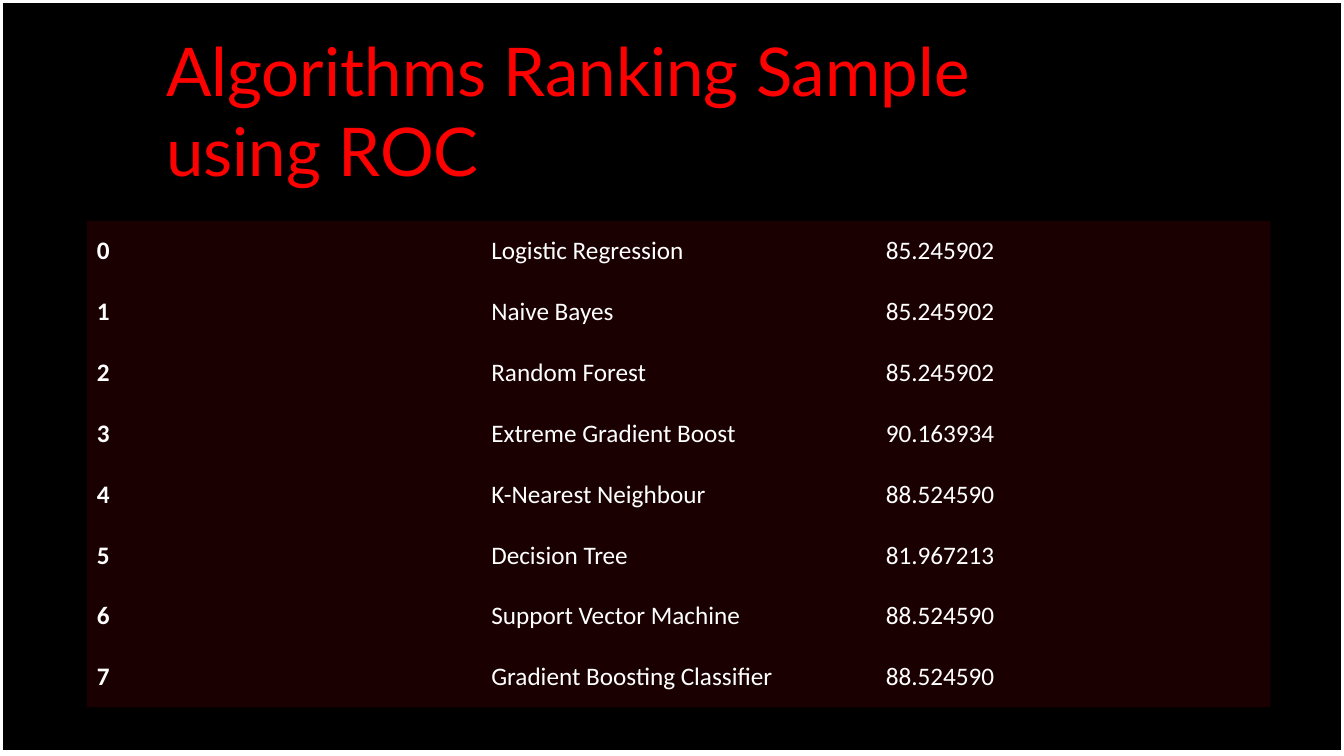
from lxml.etree import SubElement
from pptx import Presentation
from pptx.dml.color import RGBColor
from pptx.enum.shapes import MSO_SHAPE as Shape
from pptx.enum.text import MSO_ANCHOR as Anchor
from pptx.oxml.ns import qn
from pptx.util import Inches, Pt

TITLE = "Algorithms Ranking Sample using ROC"
RANKS = [
    ("Logistic Regression", "85.245902"),
    ("Naive Bayes", "85.245902"),
    ("Random Forest", "85.245902"),
    ("Extreme Gradient Boost", "90.163934"),
    ("K-Nearest Neighbour", "88.524590"),
    ("Decision Tree", "81.967213"),
    ("Support Vector Machine", "88.524590"),
    ("Gradient Boosting Classifier", "88.524590"),
]
COLORS = {"back": "000000", "red": "FF0000", "white": "FFFFFF"}
PLAIN = "{2D5ABB26-0587-4C30-8999-92F81FD0307C}"
TINT = 10


def color(name):
    return RGBColor.from_string(COLORS[name])


def style(para, face, size, name, bold=False):
    font = para.font
    font.name, font.size, font.bold = face, Pt(size), bold
    font.color.rgb = color(name)


def add_frame(slide):
    frame = slide.shapes.add_shape(
        Shape.RECTANGLE, 0, 0, Inches(13.33), Inches(7.47))
    frame.shadow.inherit = False
    frame.fill.background()
    frame.line.color.rgb = color("white")
    frame.line.width = Pt(4.5)


def fill_cell(cell, text, bold):
    cell.text = text
    cell.vertical_anchor = Anchor.MIDDLE
    style(cell.text_frame.paragraphs[0], "Calibri", 18, "white", bold)
    cell.fill.solid()
    cell.fill.fore_color.rgb = color("red")
    tone = next(cell._tc.tcPr.iter(qn("a:srgbClr")))
    SubElement(tone, qn("a:alpha")).set("val", str(TINT * 1000))


def add_ranks(slide):
    table = slide.shapes.add_table(
        len(RANKS), 3, Inches(0.86), Inches(2.19),
        Inches(11.74), Inches(4.83)).table
    table.first_row = table.horz_banding = False
    table._tbl.tblPr.find(qn("a:tableStyleId")).text = PLAIN
    for row, rank in enumerate(RANKS):
        for col, text in enumerate((str(row), *rank)):
            fill_cell(table.cell(row, col), text, col == 0)


def add_title(slide):
    box = slide.shapes.add_textbox(
        Inches(1.55), Inches(0.24), Inches(8.74), Inches(1.72))
    frame = box.text_frame
    frame.word_wrap = True
    frame.text = TITLE
    style(frame.paragraphs[0], "Lato", 48, "red")


def main():
    deck = Presentation()
    deck.slide_width, deck.slide_height = Inches(13.33), Inches(7.5)
    slide = deck.slides.add_slide(deck.slide_layouts[6])
    slide.background.fill.solid()
    slide.background.fill.fore_color.rgb = color("back")
    add_frame(slide)
    add_ranks(slide)
    add_title(slide)
    deck.save("out.pptx")


if __name__ == "__main__":
    main()
